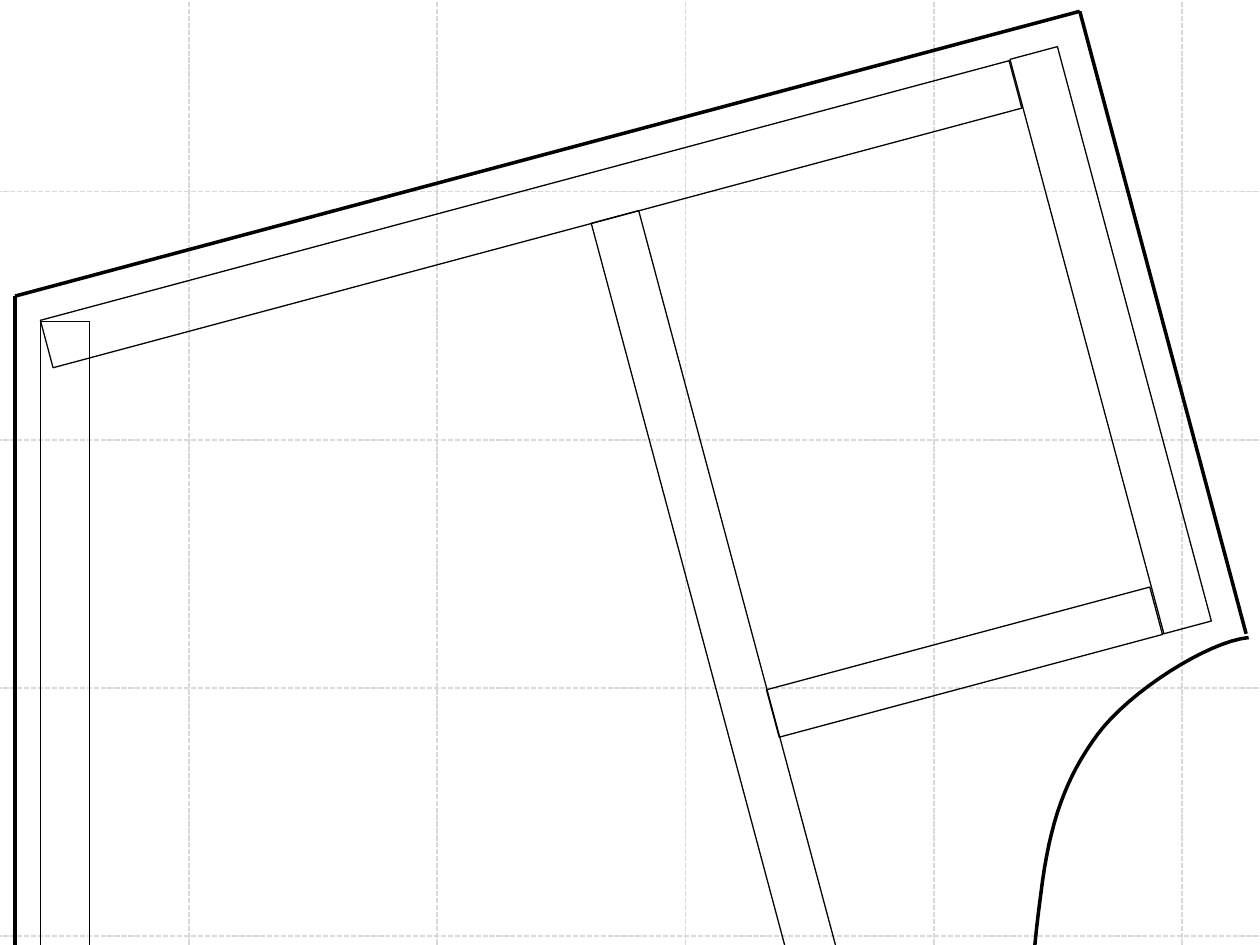
from dataclasses import dataclass

from lxml import etree
from pptx import Presentation
from pptx.dml.color import RGBColor
from pptx.enum.dml import MSO_LINE
from pptx.enum.shapes import MSO_CONNECTOR, MSO_SHAPE
from pptx.oxml.ns import qn
from pptx.shapes.shapetree import GroupShapes
from pptx.util import Inches, Pt

STRAIGHT = MSO_CONNECTOR.STRAIGHT
RECTANGLE = MSO_SHAPE.RECTANGLE
GRID_DASH = MSO_LINE.SQUARE_DOT
BLACK = "000000"
GRID_GREY = "D9D9D9"
GRID_STEP = 1.97
STRIP_WIDTH = 0.39
CURVE_STEPS = 16

Point = tuple[float, float]


@dataclass(frozen=True)
class Strip:
    left: float
    top: float
    length: float
    rotation: float


@dataclass(frozen=True)
class Bend:
    leave: Point
    arrive: Point
    end: Point


STRIPS = [
    Strip(0.32, 2.55, 25.35, 0),
    Strip(4.02, -2.28, 7.96, 255),
    Strip(7.59, 1.34, 22.44, 345),
    Strip(7.46, 3.68, 3.15, 255),
    Strip(8.62, 0.34, 4.72, 345),
]
OUTLINE = [(0.12, 28.49), (0.12, 2.35), (8.57, 0.09), (9.89, 5.03)]
CURVE_START = (9.91, 5.06)
BENDS = [
    Bend((9.59, 5.09), (8.96, 5.49), (8.71, 5.83)),
    Bend((8.46, 6.17), (8.33, 6.52), (8.26, 7.1)),
    Bend((8.18, 7.68), (8.02, 9.38), (8.27, 10.98)),
    Bend((8.52, 12.59), (9.21, 15.2), (9.74, 16.74)),
    Bend((10.28, 18.27), (10.8, 19.22), (11.47, 20.2)),
    Bend((12.14, 21.18), (12.72, 21.99), (13.78, 22.61)),
    Bend((14.85, 23.24), (17.18, 23.73), (17.87, 23.97)),
]


def style_line(line, color: str, width: float) -> None:
    line.color.rgb = RGBColor.from_string(color)
    line.width = Pt(width)


def draw_line(shapes: GroupShapes, start: Point, end: Point, color: str, width: float, dash=None) -> None:
    connector = shapes.add_connector(STRAIGHT, *map(Inches, start + end))
    style_line(connector.line, color, width)
    if dash is not None:
        connector.line.dash_style = dash
    etree.SubElement(connector._element.spPr, qn("a:effectLst"))


def draw_grid(shapes: GroupShapes) -> None:
    for column in range(5):
        x = 1.5 + column * GRID_STEP
        draw_line(shapes, (x, -2.41), (x, 29.08), GRID_GREY, 1, GRID_DASH)
    for row in range(4):
        y = 1.52 + row * GRID_STEP
        draw_line(shapes, (-0.47, y), (23.15, y), GRID_GREY, 1, GRID_DASH)


def draw_strip(shapes: GroupShapes, strip: Strip) -> None:
    board = shapes.add_shape(
        RECTANGLE, Inches(strip.left), Inches(strip.top), Inches(STRIP_WIDTH), Inches(strip.length)
    )
    board.rotation = strip.rotation
    board.shadow.inherit = False
    board.fill.background()
    style_line(board.line, BLACK, 0.75)


def bend_points(start: Point, bend: Bend) -> list[Point]:
    points = []
    for step in range(1, CURVE_STEPS + 1):
        t = step / CURVE_STEPS
        weights = ((1 - t) ** 3, 3 * t * (1 - t) ** 2, 3 * t**2 * (1 - t), t**3)
        controls = (start, bend.leave, bend.arrive, bend.end)
        x, y = (sum(w * c[axis] for w, c in zip(weights, controls)) for axis in (0, 1))
        points.append((x, y))
    return points


def draw_curve(shapes: GroupShapes, start: Point, bends: list[Bend]) -> None:
    points = []
    bend_start = start
    for bend in bends:
        points += bend_points(bend_start, bend)
        bend_start = bend.end
    builder = shapes.build_freeform(*map(Inches, start))
    builder.add_line_segments([(Inches(x), Inches(y)) for x, y in points], close=False)
    armhole = builder.convert_to_shape()
    armhole.shadow.inherit = False
    armhole.fill.background()
    style_line(armhole.line, BLACK, 2)


def main() -> None:
    deck = Presentation()
    deck.slide_width, deck.slide_height = Inches(10), Inches(7.5)
    slide = deck.slides.add_slide(deck.slide_layouts[6])
    pattern = slide.shapes.add_group_shape().shapes
    draw_grid(pattern)
    for strip in STRIPS:
        draw_strip(pattern, strip)
    for start, end in zip(OUTLINE, OUTLINE[1:]):
        draw_line(pattern, start, end, BLACK, 2)
    draw_curve(pattern, CURVE_START, BENDS)
    deck.save("out.pptx")


if __name__ == "__main__":
    main()
